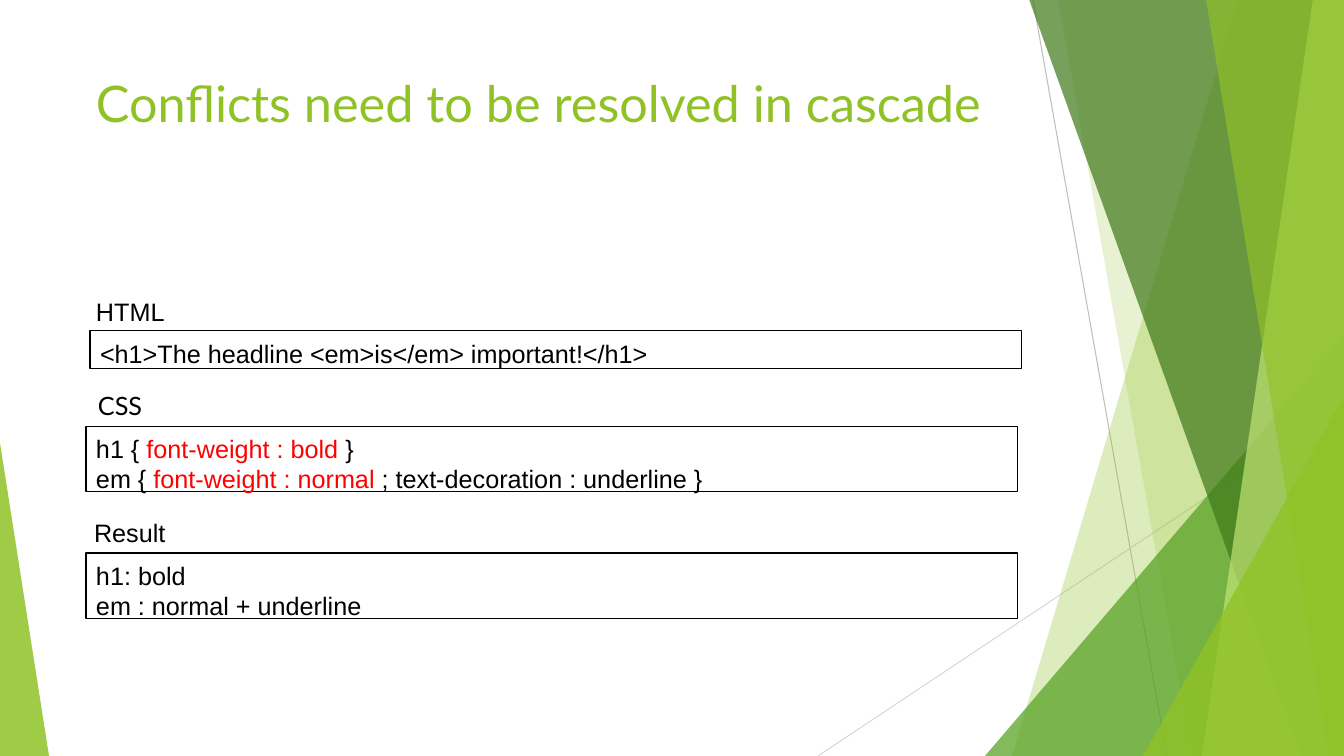
"""Build the slide on resolving conflicts in the CSS cascade."""
from lxml import etree
from pptx import Presentation
from pptx.dml.color import RGBColor
from pptx.enum import shapes, text
from pptx.oxml import ns
from pptx.util import Pt

PX = 914400 / 100.8
W, H = 1344, 756
THEME = {
    "lime": "90C226", "green": "54A021", "forest": "3F7819", "pale": "C0E474",
    "black": "000000", "red": "FF0000", "line": "BFBFBF", "faint": "D9D9D9",
    "title": 36, "body": 18, "rule": 0.75, "sans": "Arial", "display": "Lato",
}


def px(*lengths):
    return [round(n * PX) for n in lengths]


def write(sp, lines, size, font, insets, wrap=True):
    tf = sp.text_frame
    tf.word_wrap = wrap
    tf.vertical_anchor = text.MSO_ANCHOR.TOP
    tf.margin_left, tf.margin_top, tf.margin_right, tf.margin_bottom = px(*insets)
    for i, runs in enumerate(lines):
        p = tf.add_paragraph() if i else tf.paragraphs[0]
        p.alignment = text.PP_ALIGN.LEFT
        for words, colour in runs:
            r = p.add_run()
            r.text = words
            r.font.size = Pt(THEME[size])
            r.font.name = THEME[font]
            r.font.color.rgb = RGBColor.from_string(THEME[colour])


prs = Presentation()
prs.slide_width, prs.slide_height = px(W, H)
s = prs.slides.add_slide(prs.slide_layouts[6])

for ends, colour in [((1033, 0, 1167, H), "line"), ((W, 406, 818, H), "faint")]:
    rule = s.shapes.add_connector(shapes.MSO_CONNECTOR.STRAIGHT, *px(*ends))
    rule.line.color.rgb = RGBColor.from_string(THEME[colour])
    rule.line.width = Pt(THEME["rule"])
    etree.SubElement(rule._element.spPr, ns.qn("a:effectLst"))

# Bands give top-left and bottom-left x; triangles give a box and an apex.
facets = [
    ("lime", 30, (1238, 1012), None),
    ("lime", 20, (1058, 1192), None),
    ("green", 72, (985, 336, 359, 420), 1),
    ("forest", 70, (1029, 1301), None),
    ("pale", 70, (1313, 1202), None),
    ("lime", 65, (1206, 1329), None),
    ("lime", 80, (1143, 396, 201, 360), 1),
    ("lime", 85, (0, 443, 49, 313), 0),
]
for colour, opacity, place, apex in facets:
    if apex is None:
        top, bottom = place
        outline = s.shapes.build_freeform(top, -1, scale=PX)
        outline.add_line_segments([(W, -1), (W, H), (bottom, H)], close=True)
        sp = outline.convert_to_shape()
    else:
        sp = s.shapes.add_shape(shapes.MSO_SHAPE.ISOSCELES_TRIANGLE, *px(*place))
        sp.adjustments[0] = apex
    sp.shadow.inherit = False
    sp.line.fill.background()
    sp.fill.solid()
    sp.fill.fore_color.rgb = RGBColor.from_string(THEME[colour])
    tint = sp._element.spPr.find(".//" + ns.qn("a:srgbClr"))
    etree.SubElement(tint, ns.qn("a:alpha"), val=str(opacity * 1000))

title = s.shapes.add_textbox(*px(75, 68, 948, 145))
write(title, [[("Conflicts need to be resolved in cascade", "lime")]],
      "title", "display", (21, 4, 10, 5))

insets = (10, 7, 10, 5)
sections = [
    ("HTML", "sans", (86, 289, 96, 38), (90, 331, 932, 38),
     [[("<h1>The headline <em>is</em> important!</h1>", "black")]]),
    ("CSS", "display", (88, 383, 80, 38), (86, 426, 932, 66),
     [[("h1 { ", "black"), ("font-weight : bold", "red"), (" }", "black")],
      [("em { ", "black"), ("font-weight : normal", "red"),
       (" ; text-decoration : underline }", "black")]]),
    ("Result", "sans", (84, 510, 104, 38), (86, 553, 932, 66),
     [[("h1: bold", "black")], [("em : normal + underline", "black")]]),
]
for heading, font, label_at, box_at, lines in sections:
    box = s.shapes.add_shape(shapes.MSO_SHAPE.RECTANGLE, *px(*box_at))
    box.shadow.inherit = False
    box.fill.background()
    box.line.color.rgb = RGBColor.from_string(THEME["black"])
    box.line.width = Pt(THEME["rule"])
    write(box, lines, "body", "sans", insets)
    label = s.shapes.add_textbox(*px(*label_at))
    write(label, [[(heading, "black")]], "body", font, insets, wrap=False)

prs.save("out.pptx")
